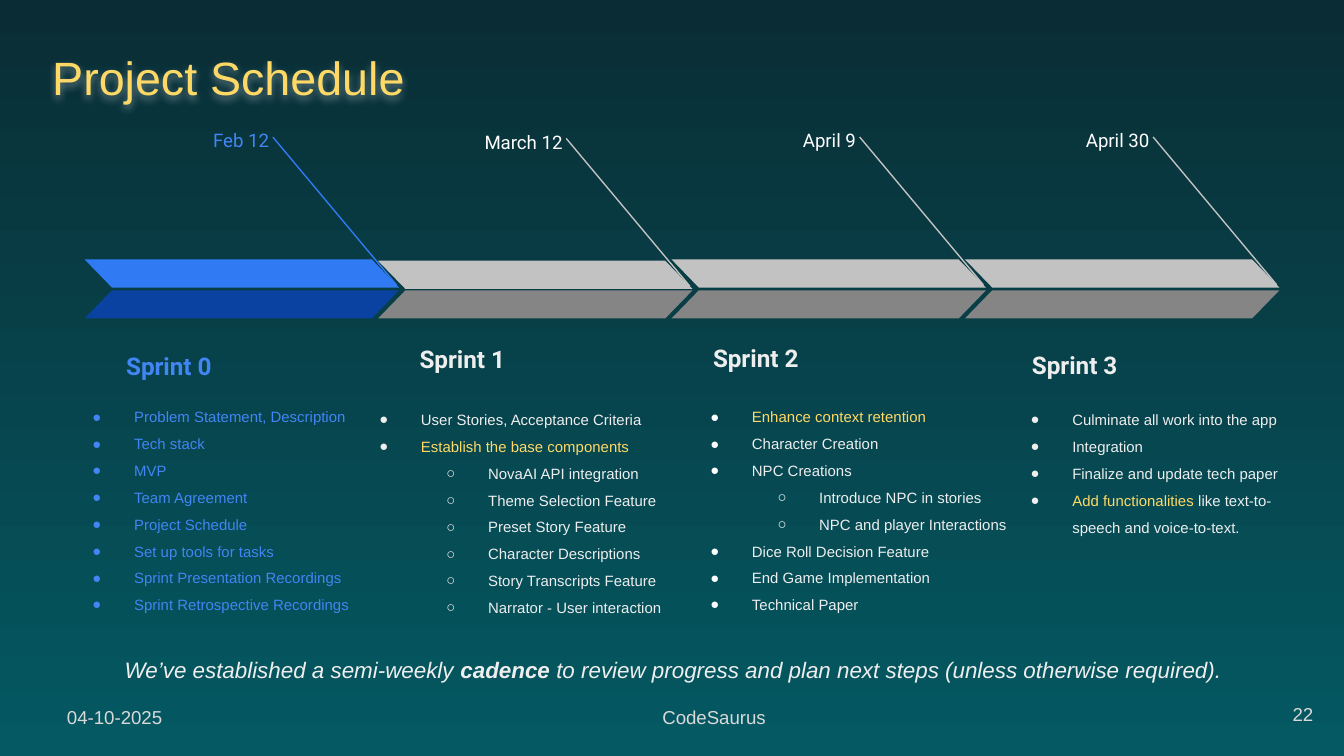
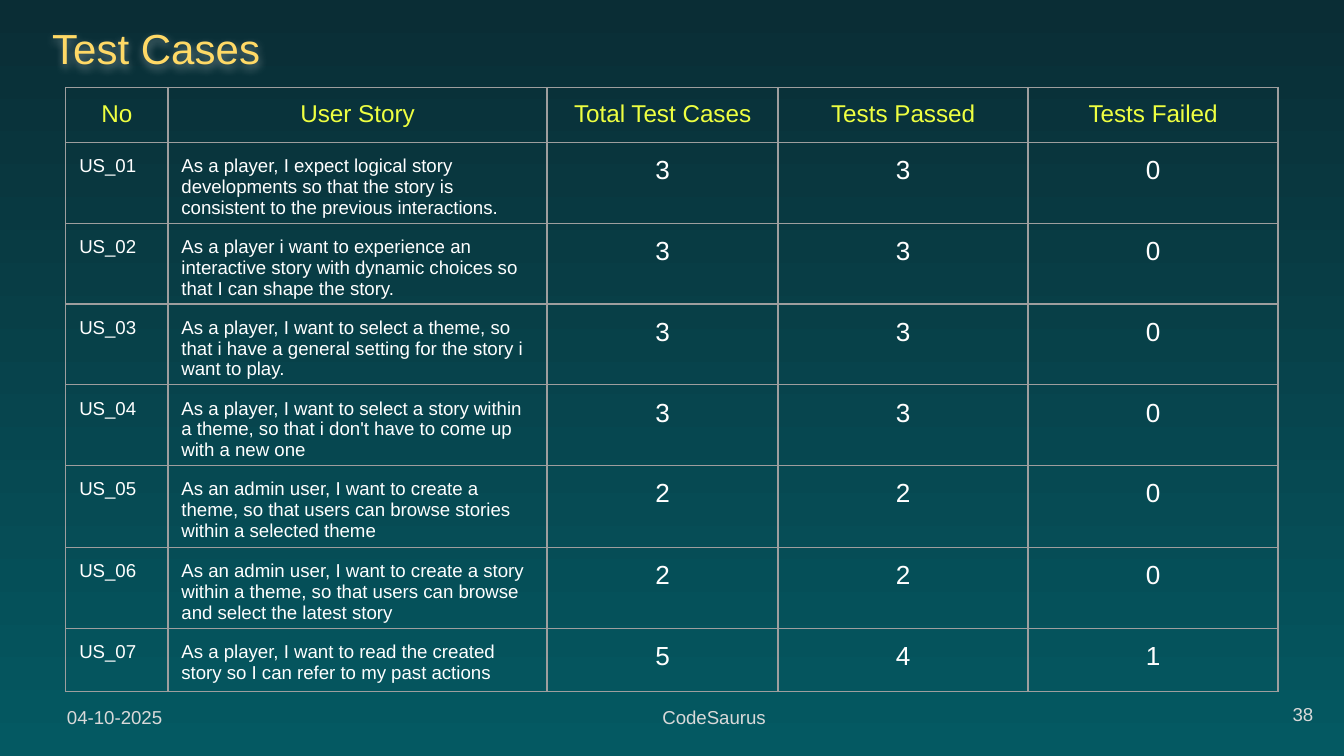
from dataclasses import dataclass

from lxml.etree import SubElement
from pptx import Presentation
from pptx.dml.color import RGBColor
from pptx.enum.shapes import MSO_CONNECTOR, MSO_SHAPE
from pptx.enum.text import MSO_ANCHOR as Anchor, PP_ALIGN as Align
from pptx.oxml.ns import qn
from pptx.util import Inches, Pt

NIGHT, TEAL = "0A2D35", "045962"
GOLD, LIME, WHITE, MIST, SILVER = "FFD966", "EEFF41", "FFFFFF", "EEEEEE", "D9D9D9"
BLUE, SKY, NAVY = "4285F4", "307AF3", "0942A1"
PALE_GREY, MID_GREY, RULE_GREY = "C2C2C2", "858585", "9E9E9E"
LEVEL_BULLETS = ((0.5, "●"), (1, "○"))


@dataclass
class Sprint:
    """One stage of the schedule, with offsets from the left of its bar."""

    due: str
    name: str
    tasks: list
    heading_at: tuple
    tasks_box: tuple
    due_color: str = WHITE
    color: str = MIST
    bullet_color: str = MIST
    upper_color: str = PALE_GREY
    lower_color: str = MID_GREY
    drop: float = 0


SPRINTS = [
    Sprint("Feb 12", "Sprint 0",
           ["Problem Statement, Description", "Tech stack", "MVP", "Team Agreement",
            "Project Schedule", "Set up tools for tasks",
            "Sprint Presentation Recordings", "Sprint Retrospective Recordings"],
           (0.21, 2.5), (-0.23, 2.87, 2.47, 1.7),
           BLUE, BLUE, BLUE, SKY, NAVY),
    Sprint("March 12", "Sprint 1",
           ["User Stories, Acceptance Criteria",
            [("Establish the base components", {"color": GOLD})],
            (1, "NovaAI API integration"), (1, "Theme Selection Feature"),
            (1, "Preset Story Feature"), (1, "Character Descriptions"),
            (1, "Story Transcripts Feature"), (1, "Narrator - User interaction")],
           (0.21, 2.45), (-0.28, 2.89, 2.85, 1.7), drop=0.01),
    Sprint("April 9", "Sprint 2",
           [[("Enhance context retention", {"color": GOLD})],
            "Character Creation", "NPC Creations",
            (1, "Introduce NPC in stories"), (1, "NPC and player Interactions"),
            "Dice Roll Decision Feature", "End Game Implementation", "Technical Paper"],
           (0.21, 2.44), (0, 2.87, 2.63, 2.04), bullet_color=WHITE),
    Sprint("April 30", "Sprint 3",
           ["Culminate all work into the app", "Integration",
            "Finalize and update tech paper",
            [("Add functionalities", {"color": GOLD}),
             (" like text-to-speech and voice-to-text.", {})]],
           (0.4, 2.49), (0.2, 2.89, 2.32, 1.68)),
]

TEST_HEADINGS = ["No", "User Story", "Total Test Cases", "Tests Passed", "Tests Failed"]
TEST_RESULTS = [
    ("As a player, I expect logical story developments so that the story is "
     "consistent to the previous interactions.", 3, 3),
    ("As a player i want to experience an interactive story with dynamic choices "
     "so that I can shape the story.", 3, 3),
    ("As a player, I want to select a theme, so that i have a general setting for "
     "the story i want to play.", 3, 3),
    ("As a player, I want to select a story within a theme, so that i don't have "
     "to come up with a new one", 3, 3),
    ("As an admin user, I want to create a theme, so that users can browse stories "
     "within a selected theme", 2, 2),
    ("As an admin user, I want to create a story within a theme, so that users can "
     "browse and select the latest story", 2, 2),
    ("As a player, I want to read the created story so I can refer to my past "
     "actions", 5, 4),
]
TEST_COLUMNS = [0.76, 2.82, 1.72, 1.86, 1.86]
TEST_ROWS = [0.41, 0.52, 0.47, 0.52, 0.47, 0.61, 0.47, 0.47]


def rgb(value):
    """Turn a hex string into a colour."""
    return RGBColor.from_string(value)


def inches(*lengths):
    """Convert several lengths at once."""
    return [Inches(length) for length in lengths]


def style_run(run, size, color, font="Arial", bold=False, italic=False):
    """Set the character format of a run."""
    run.font.name, run.font.size = font, Pt(size)
    run.font.bold, run.font.italic = bold, italic
    run.font.color.rgb = rgb(color)


def add_bullet(paragraph, level, color, size):
    """Give a paragraph the hanging bullet of its level."""
    indent, mark = LEVEL_BULLETS[level]
    paragraph.level = level
    props = paragraph._p.get_or_add_pPr()
    props.set("marL", str(Inches(indent)))
    props.set("indent", str(Inches(-0.31)))
    SubElement(SubElement(props, qn("a:buClr")), qn("a:srgbClr"), val=color)
    SubElement(props, qn("a:buSzPts"), val=str(size * 100))
    SubElement(props, qn("a:buFont"), typeface="Arial")
    SubElement(props, qn("a:buChar"), char=mark)


def write(frame, paragraphs, align=Align.LEFT, spacing=None, bullet=None, **style):
    """Fill a frame; a paragraph is text, a list of runs, or (level, text)."""
    for index, content in enumerate(paragraphs):
        paragraph = frame.add_paragraph() if index else frame.paragraphs[0]
        level, content = content if isinstance(content, tuple) else (0, content)
        paragraph.alignment = align
        if spacing:
            paragraph.line_spacing = spacing
        if bullet:
            add_bullet(paragraph, level, bullet, style["size"])
        runs = [(content, {})] if isinstance(content, str) else content
        for text, changes in runs:
            run = paragraph.add_run()
            run.text = text
            style_run(run, **{**style, **changes})


def add_text(slide, box, *paragraphs, anchor=Anchor.TOP, **formats):
    """Place a wrapped text box with even insets."""
    label = slide.shapes.add_textbox(*inches(*box))
    frame = label.text_frame
    frame.word_wrap, frame.vertical_anchor = True, anchor
    frame.margin_left = frame.margin_right = Inches(0.1)
    frame.margin_top = frame.margin_bottom = Inches(0.1)
    write(frame, paragraphs, **formats)
    return label


def add_title(slide, text, box, **formats):
    """Place the gold title with its soft glow below."""
    title = add_text(slide, box, text, color=GOLD, **formats)
    effects = SubElement(title._element.spPr, qn("a:effectLst"))
    shadow = SubElement(effects, qn("a:outerShdw"), blurRad=str(Pt(4.5)),
                        dist=str(Pt(1.5)), dir="5400000", algn="bl", rotWithShape="0")
    tint = SubElement(shadow, qn("a:srgbClr"), val=WHITE)
    SubElement(tint, qn("a:alpha"), val="40000")


def add_base(deck, number):
    """Start a slide with the shared background and footer."""
    slide = deck.slides.add_slide(deck.slide_layouts[6])
    backdrop = slide.background.fill
    backdrop.gradient()
    backdrop.gradient_angle = 270
    for stop, color, position in zip(backdrop.gradient_stops, (NIGHT, TEAL), (0, 1)):
        stop.color.rgb, stop.position = rgb(color), position
    footer = {"size": 10, "color": SILVER}
    add_text(slide, (0.4, 5.17, 1.05, 0.3), "04-10-2025", **footer)
    add_text(slide, (4.83, 5.17, 1.05, 0.3), "CodeSaurus", align=Align.JUSTIFY, **footer)
    add_text(slide, (9.27, 5.1, 0.6, 0.43), str(number), align=Align.RIGHT,
             anchor=Anchor.MIDDLE, **footer)
    return slide


def add_bar(slide, box, color, flipped=False):
    """Draw one half of a sprint arrow."""
    bar = slide.shapes.add_shape(MSO_SHAPE.PARALLELOGRAM, *inches(*box))
    bar.adjustments[0] = 0.97
    bar.shadow.inherit = False
    bar.fill.solid()
    bar.fill.fore_color.rgb = rgb(color)
    bar.line.fill.background()
    if flipped:
        bar._element.spPr.get_or_add_xfrm().set("flipH", "1")


def add_leader(slide, start, end, color):
    """Draw the line from a due date to the arrow tip."""
    leader = slide.shapes.add_connector(MSO_CONNECTOR.STRAIGHT, *inches(*start, *end))
    leader.line.color.rgb, leader.line.width = rgb(color), Pt(0.75)
    SubElement(leader._element.spPr, qn("a:effectLst"))


def add_sprint(slide, sprint, left):
    """Place a sprint's date, heading, tasks and arrow from its left edge."""
    drop = sprint.drop
    add_text(slide, (left + 0.67, 0.84 + drop, 0.8, 0.36), sprint.due, size=10,
             font="Roboto", color=sprint.due_color, align=Align.RIGHT, spacing=1.15)
    heading_x, heading_y = sprint.heading_at
    add_text(slide, (left + heading_x, heading_y, 1.92, 0.43), sprint.name, size=13,
             font="Roboto", color=sprint.color, bold=True, spacing=1.15,
             anchor=Anchor.BOTTOM)
    tasks_x, *tasks_rest = sprint.tasks_box
    add_text(slide, (left + tasks_x, *tasks_rest), *sprint.tasks, size=8,
             color=sprint.color, bullet=sprint.bullet_color, spacing=1.5)
    add_leader(slide, (left + 1.4, 1.02 + drop), (left + 2.32, 2.12 + drop),
               sprint.upper_color)
    add_bar(slide, (left, 1.93 + drop, 2.34, 0.21), sprint.upper_color, flipped=True)
    add_bar(slide, (left, 2.16, 2.34, 0.21), sprint.lower_color)


def build_schedule(deck):
    """Build the sprint timeline slide."""
    slide = add_base(deck, 22)
    add_title(slide, "Project Schedule", (0.29, 0.26, 8.73, 0.68), size=25)
    for index, sprint in enumerate(SPRINTS):
        add_sprint(slide, sprint, 0.63 + 6.55 / 3 * index)
    add_text(slide, (0.83, 4.78, 8.77, 0.43),
             [("We’ve established a semi-weekly ", {}), ("cadence", {"bold": True}),
              (" to review progress and plan next steps (unless otherwise required).", {})],
             size=12, color=MIST, italic=True)


def fill_cell(cell, text, **formats):
    """Write a clear cell with thin grey borders."""
    cell.margin_left = cell.margin_right = cell.margin_top = Inches(0.1)
    cell.margin_bottom = 0
    props = cell._tc.get_or_add_tcPr()
    for side in ("L", "R", "T", "B"):
        border = SubElement(props, qn(f"a:ln{side}"), w=str(Pt(0.75)))
        SubElement(SubElement(border, qn("a:solidFill")), qn("a:srgbClr"), val=RULE_GREY)
    cell.fill.background()
    write(cell.text_frame, [text], **formats)


def add_results(slide, left, top, side):
    """Place the table of user stories and test counts."""
    frame = slide.shapes.add_table(len(TEST_ROWS), len(TEST_COLUMNS),
                                   *inches(left, top, side, side))
    table = frame.table
    table.first_row = table.horz_banding = False
    for column, width in zip(table.columns, TEST_COLUMNS):
        column.width = Inches(width)
    for row, height in zip(table.rows, TEST_ROWS):
        row.height = Inches(height)
    frame.width = frame.height = Inches(side)
    for column, heading in enumerate(TEST_HEADINGS):
        fill_cell(table.cell(0, column), heading, size=13, color=LIME, align=Align.CENTER)
    for row, (story, total, passed) in enumerate(TEST_RESULTS, 1):
        values = (f"US_{row:02}", story, total, passed, total - passed)
        for column, value in enumerate(values):
            is_count = column > 1
            fill_cell(table.cell(row, column), str(value), color=WHITE,
                      size=14 if is_count else 10,
                      align=Align.CENTER if is_count else Align.LEFT)


def build_test_cases(deck):
    """Build the test results slide."""
    slide = add_base(deck, 38)
    add_title(slide, "Test Cases", (0.29, 0.06, 8.73, 0.59), size=22.5,
              anchor=Anchor.MIDDLE)
    add_results(slide, 0.49, 0.65, 3.28)


def main():
    """Build and save the deck."""
    deck = Presentation()
    deck.slide_width = Inches(10)
    deck.slide_height = deck.slide_width * 9 // 16
    build_schedule(deck)
    build_test_cases(deck)
    deck.save("out.pptx")


if __name__ == "__main__":
    main()
